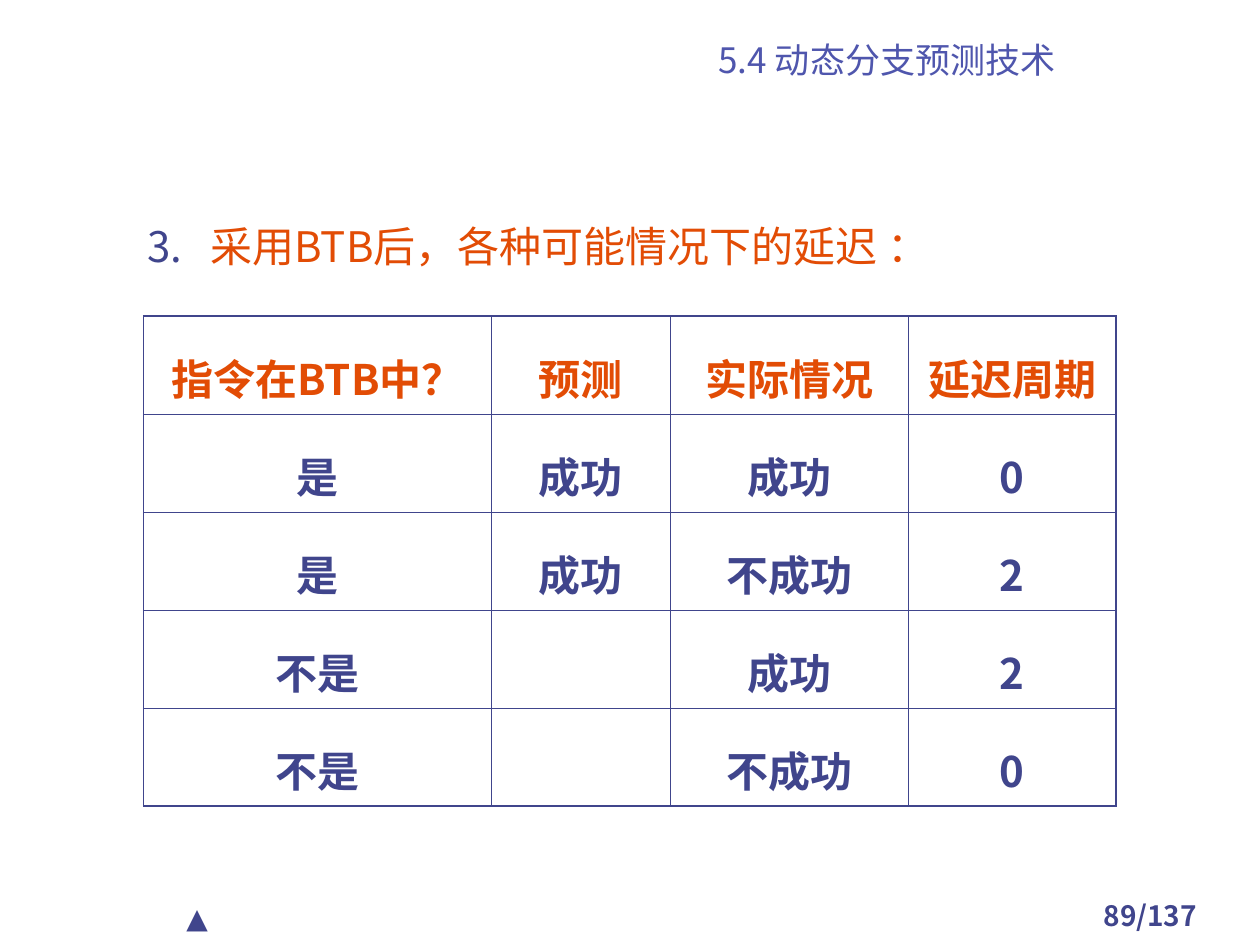
from lxml import etree
from pptx import Presentation
from pptx.dml.color import RGBColor
from pptx.enum.text import MSO_ANCHOR, MSO_AUTO_SIZE, PP_ALIGN
from pptx.oxml.ns import qn
from pptx.util import Inches, Pt

LEFT, CENTER = PP_ALIGN.LEFT, PP_ALIGN.CENTER
TOP, BOTTOM = MSO_ANCHOR.TOP, MSO_ANCHOR.BOTTOM
NO_FIT = MSO_AUTO_SIZE.NONE
CJK, LATIN = "Noto Sans CJK SC", "Karla"
COLORS = {"navy": "40458C", "title": "4F56AD", "accent": "E24C05"}
COLS = [2.76, 1.42, 1.89, 1.65]
ROW_HEIGHT = 0.77
THICK, THIN = 1.08, 0.45
ROWS = [
    ["指令在BTB中？", "预测", "实际情况", "延迟周期"],
    ["是", "成功", "成功", "0"],
    ["是", "成功", "不成功", "2"],
    ["不是", "", "成功", "2"],
    ["不是", "", "不成功", "0"],
]


def set_attrs(obj, values):
    """Set each named attribute of an object."""
    for name, value in values.items():
        setattr(obj, name, value)


def write(tf, text, color, size, font=CJK, bold=False, align=LEFT, spacing=1.0):
    """Write one formatted paragraph into a text frame."""
    p = tf.paragraphs[0]
    set_attrs(p, {"alignment": align, "line_spacing": spacing, "space_before": Pt(0)})
    r = p.add_run()
    r.text = text
    set_attrs(r.font, {"name": font, "size": Pt(size), "bold": bold})
    r.font.color.rgb = RGBColor.from_string(COLORS[color])
    ea = etree.SubElement(r.font._element, qn("a:ea"))
    ea.set("typeface", font)
    return p


def place(sp, left, top, width, height, anchor=TOP):
    """Position a text shape and return its text frame."""
    box = {"left": left, "top": top, "width": width, "height": height}
    set_attrs(sp, {name: Inches(value) for name, value in box.items()})
    tf = sp.text_frame
    set_attrs(tf, {"word_wrap": True, "auto_size": NO_FIT, "vertical_anchor": anchor})
    return tf


def add_label(slide, box, text, **style):
    """Add a small footer text box."""
    tf = place(slide.shapes.add_textbox(0, 0, 0, 0), *box)
    write(tf, text, "navy", 16, **style)


def number_paragraph(p, start, color):
    """Give a paragraph a coloured number and a hanging indent."""
    pPr = p._p.get_or_add_pPr()
    pPr.set("marL", str(Inches(0.5)))
    pPr.set("indent", str(-Inches(0.5)))
    clr = etree.SubElement(pPr, qn("a:buClr"))
    etree.SubElement(clr, qn("a:srgbClr")).set("val", COLORS[color])
    etree.SubElement(pPr, qn("a:buFont")).set("typeface", CJK)
    num = etree.SubElement(pPr, qn("a:buAutoNum"))
    num.set("type", "arabicPeriod")
    num.set("startAt", str(start))


def set_borders(cell, widths):
    """Draw the four borders of a cell with the given widths."""
    tcPr = cell._tc.get_or_add_tcPr()
    for i, (side, width) in enumerate(widths.items()):
        ln = etree.Element(qn(f"a:ln{side}"), w=str(Pt(width)))
        fill = etree.SubElement(ln, qn("a:solidFill"))
        etree.SubElement(fill, qn("a:srgbClr")).set("val", COLORS["navy"])
        tcPr.insert(i, ln)


def add_delay_table(slide):
    """Add the table of branch delays with a thicker outer frame."""
    n_rows, n_cols = len(ROWS), len(COLS)
    frame = slide.shapes.add_table(
        n_rows, n_cols, Inches(1.14), Inches(2.51),
        Inches(sum(COLS)), Inches(ROW_HEIGHT * n_rows))
    table = frame.table
    set_attrs(table, {"first_row": False, "horz_banding": False})
    for col, width in zip(table.columns, COLS):
        col.width = Inches(width)
    for i, row in enumerate(ROWS):
        table.rows[i].height = Inches(ROW_HEIGHT)
        for j, text in enumerate(row):
            cell = table.cell(i, j)
            cell.fill.background()
            outer = {"L": j == 0, "R": j == n_cols - 1,
                     "T": i == 0, "B": i == n_rows - 1}
            set_borders(cell, {s: THICK if o else THIN for s, o in outer.items()})
            if text:
                write(cell.text_frame, text, "navy" if i else "accent", 24,
                      bold=True, align=CENTER, spacing=1.4)


def main():
    """Build the slide and save it."""
    prs = Presentation()
    set_attrs(prs, {"slide_width": Inches(10), "slide_height": Inches(7.5)})
    slide = prs.slides.add_slide(prs.slide_layouts[1])
    title, body = slide.placeholders
    tf = place(title, 4.25, 0.27, 5.58, 0.42, BOTTOM)
    write(tf, "5.4 动态分支预测技术", "title", 20, align=CENTER)
    tf = place(body, 1.07, 1.62, 8.66, 0.92)
    p = write(tf, "采用BTB后，各种可能情况下的延迟 ：", "accent", 24, spacing=1.2)
    number_paragraph(p, 3, "navy")
    add_delay_table(slide)
    add_label(slide, (8.42, 7.08, 1.42, 0.33), "89/137", bold=True, align=CENTER)
    add_label(slide, (1.38, 7.1, 1.42, 0.37), "▲", font=LATIN)
    prs.save("out.pptx")


if __name__ == "__main__":
    main()
